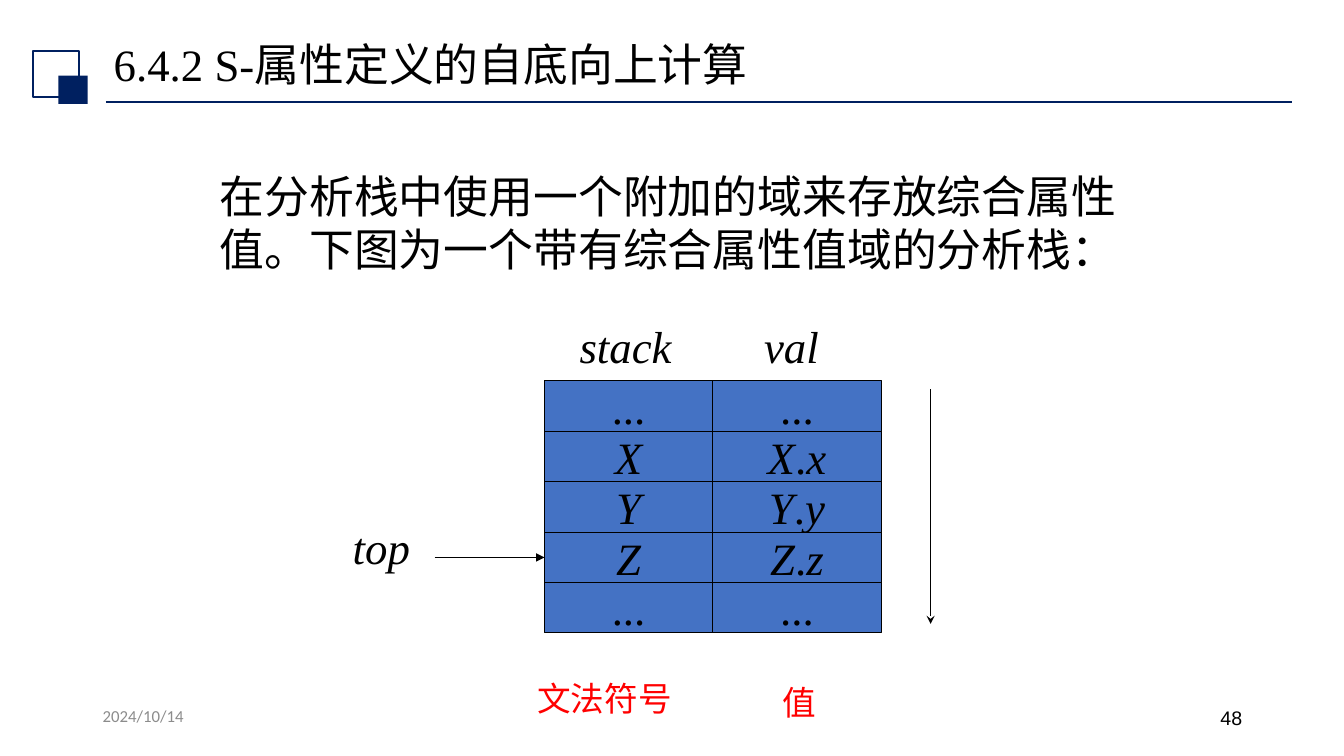
from dataclasses import dataclass

from lxml import etree
from pptx import Presentation
from pptx.dml.color import RGBColor
from pptx.enum.shapes import MSO_CONNECTOR as Connector, MSO_SHAPE as Shape
from pptx.enum.text import MSO_ANCHOR as Anchor, PP_ALIGN as Align
from pptx.oxml.ns import qn
from pptx.util import Pt

PX = 9144  # one hundredth of an inch


@dataclass(frozen=True)
class Theme:
    navy: str = "002060"
    cell: str = "4472C4"
    ink: str = "000000"
    red: str = "FF0000"
    grey: str = "8C8C8C"
    serif: str = "Times New Roman"
    sans: str = "Calibri"
    number: str = "Arial"
    chinese: str = "Noto Sans CJK SC"
    large: int = 32
    label: int = 24
    page_number: int = 14
    date: int = 12


THEME = Theme()
HEADERS = ("stack", "val")
SYMBOLS = ("...", "X", "Y", "Z", "...")
TOP_ROW = 3


def emu(*lengths):
    return [length * PX for length in lengths]


def write(shape, text, font=THEME.serif, size=THEME.large, color=THEME.ink,
          italic=False, align=Align.LEFT, anchor=Anchor.TOP, wrap=True, spacing=None):
    """Fill a shape with one paragraph; a dot between letters stays upright."""
    frame = shape.text_frame
    frame.word_wrap = wrap
    frame.vertical_anchor = anchor
    para = frame.paragraphs[0]
    para.alignment = align
    para.line_spacing = spacing
    pieces = text.partition(".") if italic else (text,)
    for piece in filter(None, pieces):
        span = para.add_run()
        span.text = piece
        span.font.size = Pt(size)
        span.font.italic = italic and piece != "."
        span.font.color.rgb = RGBColor.from_string(color)
        span.font.name = font
        east_asian = etree.SubElement(span.font._element, qn("a:ea"))
        east_asian.set("typeface", THEME.chinese)


def add_text(page, box, text, **style):
    write(page.shapes.add_textbox(*emu(*box)), text, **style)


def add_box(page, box, fill=None, line=None, width=0.75):
    shape = page.shapes.add_shape(Shape.RECTANGLE, *emu(*box))
    shape.shadow.inherit = False
    if fill:
        shape.fill.solid()
        shape.fill.fore_color.rgb = RGBColor.from_string(fill)
    else:
        shape.fill.background()
    if line:
        shape.line.color.rgb = RGBColor.from_string(line)
        shape.line.width = Pt(width)
    else:
        shape.line.fill.background()
    return shape


def add_line(page, start, end, color=THEME.ink, width=0.75, head=None):
    line = page.shapes.add_connector(Connector.STRAIGHT, *emu(*start, *end))
    line.line.color.rgb = RGBColor.from_string(color)
    line.line.width = Pt(width)
    if head:
        etree.SubElement(line.line._get_or_add_ln(), qn("a:tailEnd")).set("type", head)
    etree.SubElement(line._element.spPr, qn("a:effectLst"))


def add_header(page, box, title):
    left, top, width, height = box
    rule = top + 67
    add_line(page, (left + 72, rule), (left + width, rule), THEME.navy, 1.25)
    add_box(page, (left, top + 17, 45, 45), line=THEME.navy, width=1.5)
    add_box(page, (left + 25, top + 41, 29, 28), fill=THEME.navy)
    add_text(page, (left + 70, top, 1150, height), title, anchor=Anchor.BOTTOM, spacing=0.9)


def add_footer(page, box, date, number):
    left, top, width, height = box
    add_text(page, (left, top, 300, height), date,
             font=THEME.sans, size=THEME.date, color=THEME.grey)
    add_text(page, (left + width - 300, top, 300, height), number,
             font=THEME.number, size=THEME.page_number, align=Align.RIGHT)


def add_stack(page, box):
    """Draw the two-column parse stack with its headers, captions and arrows."""
    left, top, width, height = box
    cell_width, cell_height = width // 2, height // len(SYMBOLS)
    for row, symbol in enumerate(SYMBOLS):
        dots = symbol == "..."
        value = symbol if dots else f"{symbol}.{symbol.lower()}"
        for column, text in enumerate((symbol, value)):
            cell = add_box(page, (left + column * cell_width, top + row * cell_height,
                                  cell_width, cell_height), THEME.cell, THEME.ink)
            write(cell, text, italic=not dots, align=Align.CENTER,
                  anchor=Anchor.MIDDLE, wrap=False)

    for header, offset, header_width in zip(HEADERS, (25, 208), (124, 83)):
        add_text(page, (left + offset, top - 67, header_width, 63), header, italic=True)
    for caption, offset, drop, caption_width in (("文法符号", -17, 40, 155),
                                                 ("值", 226, 44, 54)):
        add_text(page, (left + offset, top + height + drop, caption_width, 50), caption,
                 font=THEME.sans, size=THEME.label, color=THEME.red, wrap=False)

    pointer = top + TOP_ROW * cell_height + cell_height // 2
    add_text(page, (left - 200, pointer - 42, 108, 63), "top", italic=True)
    add_line(page, (left - 109, pointer), (left, pointer), head="triangle")
    growth = left + width + 49
    add_line(page, (growth, top + 8), (growth, top + height - 9), head="stealth")


def main():
    deck = Presentation()
    deck.slide_width, deck.slide_height = emu(1333, 750)
    page = deck.slides.add_slide(deck.slide_layouts[6])
    add_header(page, (33, 34, 1248, 61), "6.4.2 S-属性定义的自底向上计算")
    add_footer(page, (92, 695, 1150, 40), "2024/10/14", "48")
    add_text(page, (208, 162, 923, 117),
             "在分析栈中使用一个附加的域来存放综合属性值。下图为一个带有综合属性值域的分析栈：",
             font=THEME.chinese)
    add_stack(page, (540, 378, 334, 250))
    deck.save("out.pptx")


if __name__ == "__main__":
    main()
